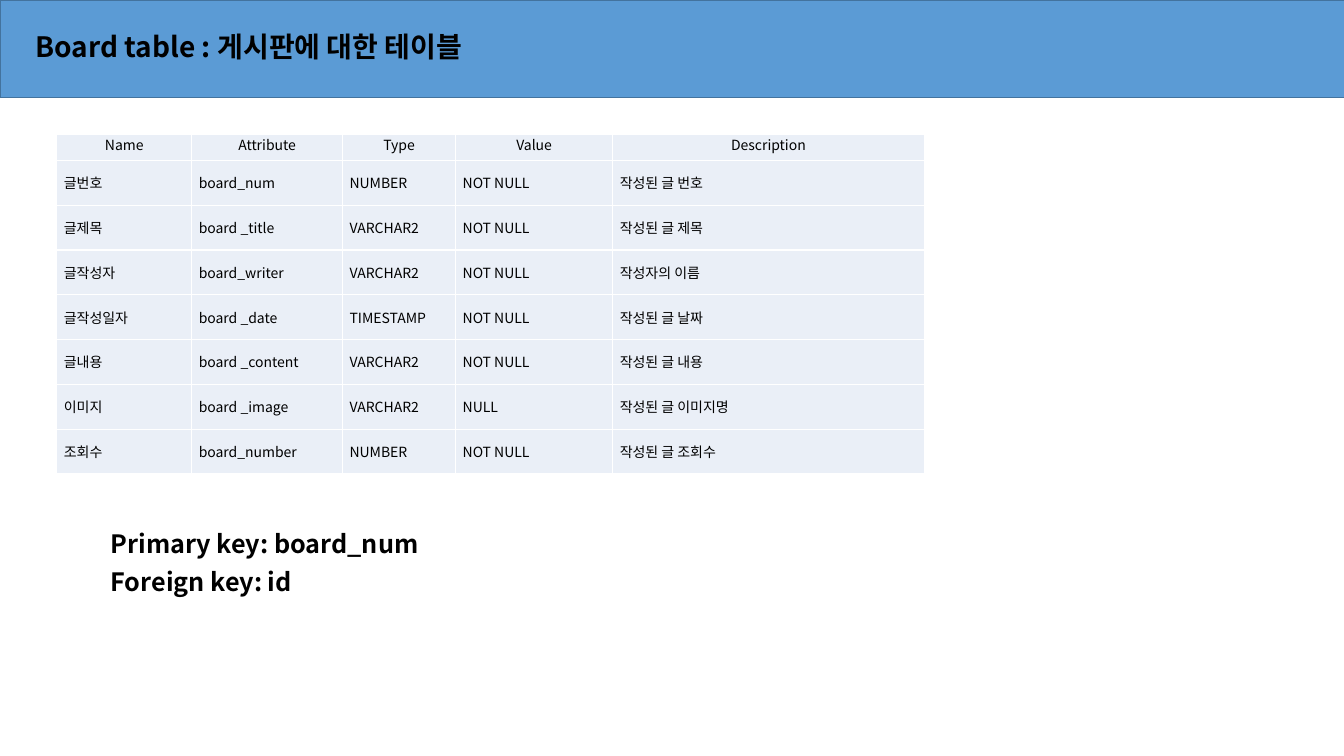
from dataclasses import dataclass

from lxml import etree
from pptx import Presentation
from pptx.dml.color import RGBColor
from pptx.enum.shapes import MSO_SHAPE
from pptx.enum.text import MSO_ANCHOR, MSO_AUTO_SIZE, PP_ALIGN
from pptx.oxml.ns import qn
from pptx.util import Cm, Pt

RECTANGLE = MSO_SHAPE.RECTANGLE
LEFT, CENTER = PP_ALIGN.LEFT, PP_ALIGN.CENTER
TOP, MIDDLE = MSO_ANCHOR.TOP, MSO_ANCHOR.MIDDLE

BLACK = RGBColor(0x00, 0x00, 0x00)
BANNER_BLUE = RGBColor(0x5B, 0x9B, 0xD5)
BANNER_EDGE = RGBColor(0x43, 0x73, 0x9E)
CELL_BLUE = RGBColor(0xEA, 0xEF, 0xF7)
GRID_WHITE = RGBColor(0xFF, 0xFF, 0xFF)
FONT = "Noto Sans CJK KR"

TITLE_ONLY = 5
COLUMN_WIDTHS = (Cm(3.4), Cm(3.8), Cm(2.85), Cm(3.96), Cm(7.85))
HEADER_HEIGHT, FIELD_HEIGHT = Cm(0.66), Cm(1.13)


@dataclass
class Field:
    name: str
    attribute: str
    type: str
    value: str
    description: str

    def texts(self) -> tuple[str, ...]:
        return self.name, self.attribute, self.type, self.value, self.description


HEADER = Field("Name", "Attribute", "Type", "Value", "Description")
FIELDS = [
    Field("글번호", "board_num", "NUMBER", "NOT NULL", "작성된 글 번호"),
    Field("글제목", "board _title", "VARCHAR2", "NOT NULL", "작성된 글 제목"),
    Field("글작성자", "board_writer", "VARCHAR2", "NOT NULL", "작성자의 이름"),
    Field("글작성일자", "board _date", "TIMESTAMP", "NOT NULL", "작성된 글 날짜"),
    Field("글내용", "board _content", "VARCHAR2", "NOT NULL", "작성된 글 내용"),
    Field("이미지", "board _image", "VARCHAR2", "NULL", "작성된 글 이미지명"),
    Field("조회수", "board_number", "NUMBER", "NOT NULL", "작성된 글 조회수"),
]
KEYS = ("Primary key: board_num", "Foreign key: id")


def format_paragraph(paragraph, size: float, bold: bool = False, align=LEFT) -> None:
    paragraph.alignment = align
    font = paragraph.font
    font.name, font.size, font.bold = FONT, Pt(size), bold
    font.color.rgb = BLACK
    # Hangul takes the East Asian typeface
    properties = paragraph._p.pPr.find(qn("a:defRPr"))
    etree.SubElement(properties, qn("a:ea"), typeface=FONT)


def add_borders(cell) -> None:
    properties = cell._tc.get_or_add_tcPr()
    for position, side in enumerate(("a:lnL", "a:lnR", "a:lnT", "a:lnB")):
        line = etree.Element(qn(side), w=str(Pt(1)))
        fill = etree.SubElement(line, qn("a:solidFill"))
        etree.SubElement(fill, qn("a:srgbClr"), val=str(GRID_WHITE))
        properties.insert(position, line)


def fill_cell(cell, text: str, is_header: bool) -> None:
    cell.margin_left = cell.margin_right = Cm(0.18)
    cell.margin_top = cell.margin_bottom = 0
    cell.vertical_anchor = TOP if is_header else MIDDLE
    cell.fill.solid()
    cell.fill.fore_color.rgb = CELL_BLUE
    add_borders(cell)
    cell.text = text
    paragraph = cell.text_frame.paragraphs[0]
    paragraph.space_after = Pt(6)
    format_paragraph(paragraph, 10, align=CENTER if is_header else LEFT)


def add_banner(slide) -> None:
    banner = slide.shapes.add_shape(RECTANGLE, 0, 0, Cm(34.16), Cm(2.46))
    banner.shadow.inherit = False
    banner.fill.solid()
    banner.fill.fore_color.rgb = BANNER_BLUE
    banner.line.color.rgb = BANNER_EDGE
    banner.line.width = Pt(1)
    # Send behind the title
    slide.shapes._spTree.insert(2, banner._element)


def set_title(slide) -> None:
    title = slide.shapes.title
    title.left, title.top, title.width, title.height = Cm(0.64), Cm(0.5), Cm(25.8), Cm(1.45)
    title.text_frame.text = "Board table : 게시판에 대한 테이블"
    title.text_frame.vertical_anchor = MIDDLE
    heading = title.text_frame.paragraphs[0]
    heading.line_spacing = 0.9
    format_paragraph(heading, 20, bold=True)


def add_field_table(slide) -> None:
    rows = [HEADER, *FIELDS]
    height = HEADER_HEIGHT + FIELD_HEIGHT * len(FIELDS)
    table = slide.shapes.add_table(len(rows), len(COLUMN_WIDTHS), Cm(1.43), Cm(3.38),
                                   sum(COLUMN_WIDTHS), height).table
    for column, width in zip(table.columns, COLUMN_WIDTHS):
        column.width = width
    for row_number, field in enumerate(rows):
        is_header = field is HEADER
        table.rows[row_number].height = HEADER_HEIGHT if is_header else FIELD_HEIGHT
        for column_number, text in enumerate(field.texts()):
            fill_cell(table.cell(row_number, column_number), text, is_header)


def add_keys(slide) -> None:
    keys = slide.shapes.add_textbox(Cm(1.12), Cm(13.18), Cm(16.94), Cm(2.01)).text_frame
    keys.word_wrap = True
    keys.auto_size = MSO_AUTO_SIZE.SHAPE_TO_FIT_TEXT
    keys.text = "\n".join(KEYS)
    for paragraph in keys.paragraphs:
        paragraph.space_after = Pt(6)
        format_paragraph(paragraph, 18, bold=True)
        paragraph._p.pPr.set("marL", str(Cm(1.42)))
        paragraph._p.pPr.set("indent", "0")


def main() -> None:
    presentation = Presentation()
    presentation.slide_width, presentation.slide_height = Cm(33.87), Cm(19.05)
    slide = presentation.slides.add_slide(presentation.slide_layouts[TITLE_ONLY])
    add_banner(slide)
    set_title(slide)
    add_field_table(slide)
    add_keys(slide)
    presentation.save("out.pptx")


if __name__ == "__main__":
    main()
